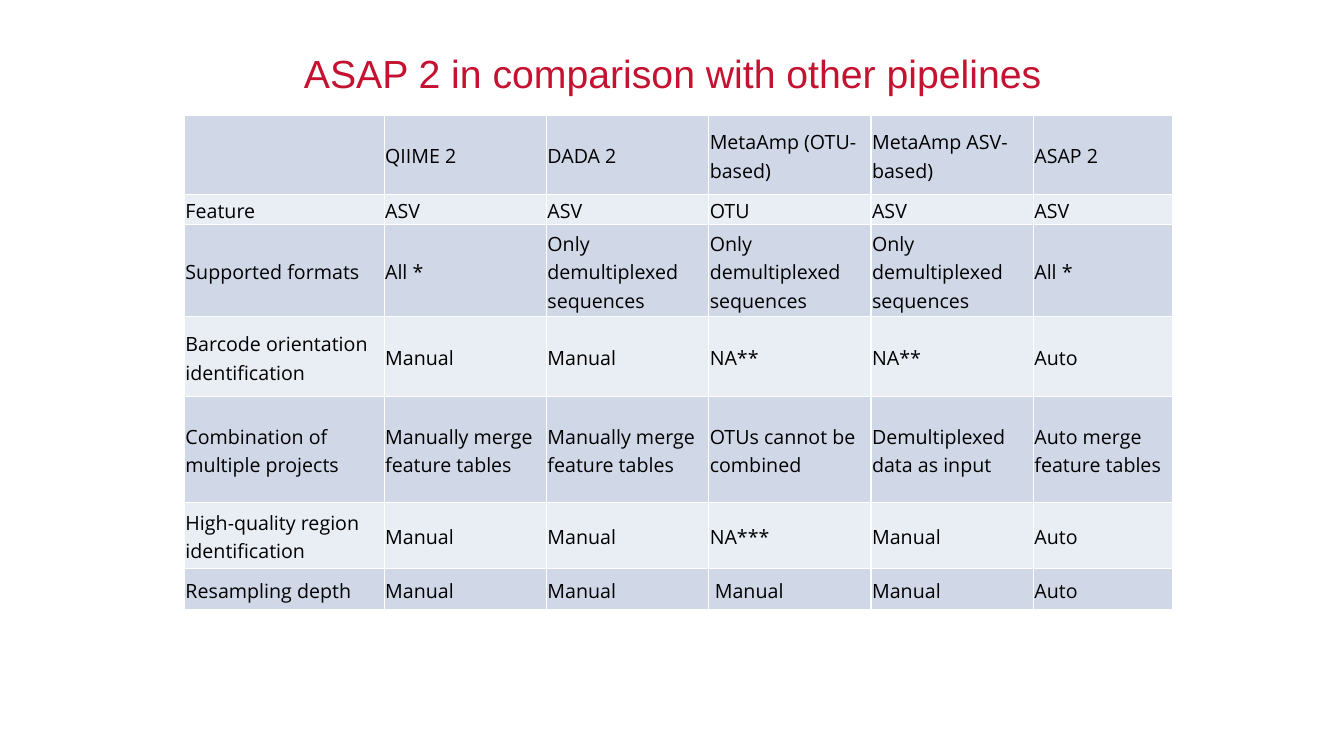
from lxml.etree import SubElement
from pptx import Presentation
from pptx.dml.color import RGBColor
from pptx.enum.text import MSO_ANCHOR, PP_ALIGN
from pptx.oxml.ns import qn
from pptx.util import Inches, Pt

RED = RGBColor(0xC4, 0x12, 0x30)
BLACK = RGBColor(0x00, 0x00, 0x00)
WHITE = RGBColor(0xFF, 0xFF, 0xFF)
BANDS = (RGBColor(0xD0, 0xD8, 0xE8), RGBColor(0xE9, 0xED, 0xF4))

COLUMN_WIDTHS = [1.98, 1.61, 1.61, 1.61, 1.61, 1.38]
ROW_HEIGHTS = [0.79, 0.26, 0.92, 0.79, 1.05, 0.66, 0.4]
DEMULTIPLEXED = "Only demultiplexed sequences"
MERGE = "Manually merge feature tables"
PIPELINES = [
    ["", "QIIME 2", "DADA 2", "MetaAmp (OTU-based)", "MetaAmp ASV-based)", "ASAP 2"],
    ["Feature", "ASV", "ASV", "OTU", "ASV", "ASV"],
    ["Supported formats", "All *", DEMULTIPLEXED, DEMULTIPLEXED, DEMULTIPLEXED, "All *"],
    ["Barcode orientation identification", "Manual", "Manual", "NA**", "NA**", "Auto"],
    ["Combination of multiple projects", MERGE, MERGE, "OTUs cannot be combined",
     "Demultiplexed data as input", "Auto merge feature tables"],
    ["High-quality region identification", "Manual", "Manual", "NA***", "Manual", "Auto"],
    ["Resampling depth", "Manual", "Manual", " Manual", "Manual", "Auto"],
]


class SlideBuilder:
    title_font = "Arial"
    body_font = "Open Sans"

    def __init__(self, prs):
        self.s = prs.slides.add_slide(prs.slide_layouts[5])

    def run(self, p, text, font, size, color):
        r = p.add_run()
        r.text = text
        r.font.name = font
        r.font.size = Pt(size)
        r.font.color.rgb = color

    def title(self, text, left, top, width, height):
        sp = self.s.shapes.title
        sp.left, sp.top = Inches(left), Inches(top)
        sp.width, sp.height = Inches(width), Inches(height)
        tf = sp.text_frame
        tf.word_wrap = True
        tf.vertical_anchor = MSO_ANCHOR.TOP
        tf.margin_top = Inches(0.19)
        p = tf.paragraphs[0]
        p.alignment = PP_ALIGN.CENTER
        self.run(p, text, self.title_font, 28, RED)

    def borders(self, cell):
        tc_pr = cell._tc.get_or_add_tcPr()
        for i, side in enumerate(("a:lnL", "a:lnR", "a:lnT", "a:lnB")):
            ln = tc_pr.makeelement(qn(side), {"w": str(Pt(1))})
            fill = SubElement(ln, qn("a:solidFill"))
            SubElement(fill, qn("a:srgbClr"), val=str(WHITE))
            tc_pr.insert(i, ln)

    def cell(self, cell, text, band):
        cell.fill.solid()
        cell.fill.fore_color.rgb = band
        self.borders(cell)
        cell.vertical_anchor = MSO_ANCHOR.MIDDLE
        cell.margin_left = cell.margin_right = cell.margin_top = Inches(0.01)
        cell.margin_bottom = 0
        if text:
            p = cell.text_frame.paragraphs[0]
            p.line_spacing = 1.07
            p.space_after = Pt(8)
            self.run(p, text, self.body_font, 14, BLACK)

    def table(self, rows, left, top, widths, heights):
        frame = self.s.shapes.add_table(
            len(rows), len(widths), Inches(left), Inches(top),
            Inches(sum(widths)), Inches(sum(heights)))
        table = frame.table
        table.first_row = table.horz_banding = False
        for column, width in zip(table.columns, widths):
            column.width = Inches(width)
        for i, (row, height) in enumerate(zip(table.rows, heights)):
            row.height = Inches(height)
            for cell, text in zip(row.cells, rows[i]):
                self.cell(cell, text, BANDS[i % 2])


def main():
    prs = Presentation()
    prs.slide_width, prs.slide_height = Inches(13.33), Inches(7.5)
    slide = SlideBuilder(prs)
    slide.title("ASAP 2 in comparison with other pipelines", 0.67, 0.3, 12, 1.25)
    slide.table(PIPELINES, 1.83, 1.14, COLUMN_WIDTHS, ROW_HEIGHTS)
    prs.save("out.pptx")


if __name__ == "__main__":
    main()
